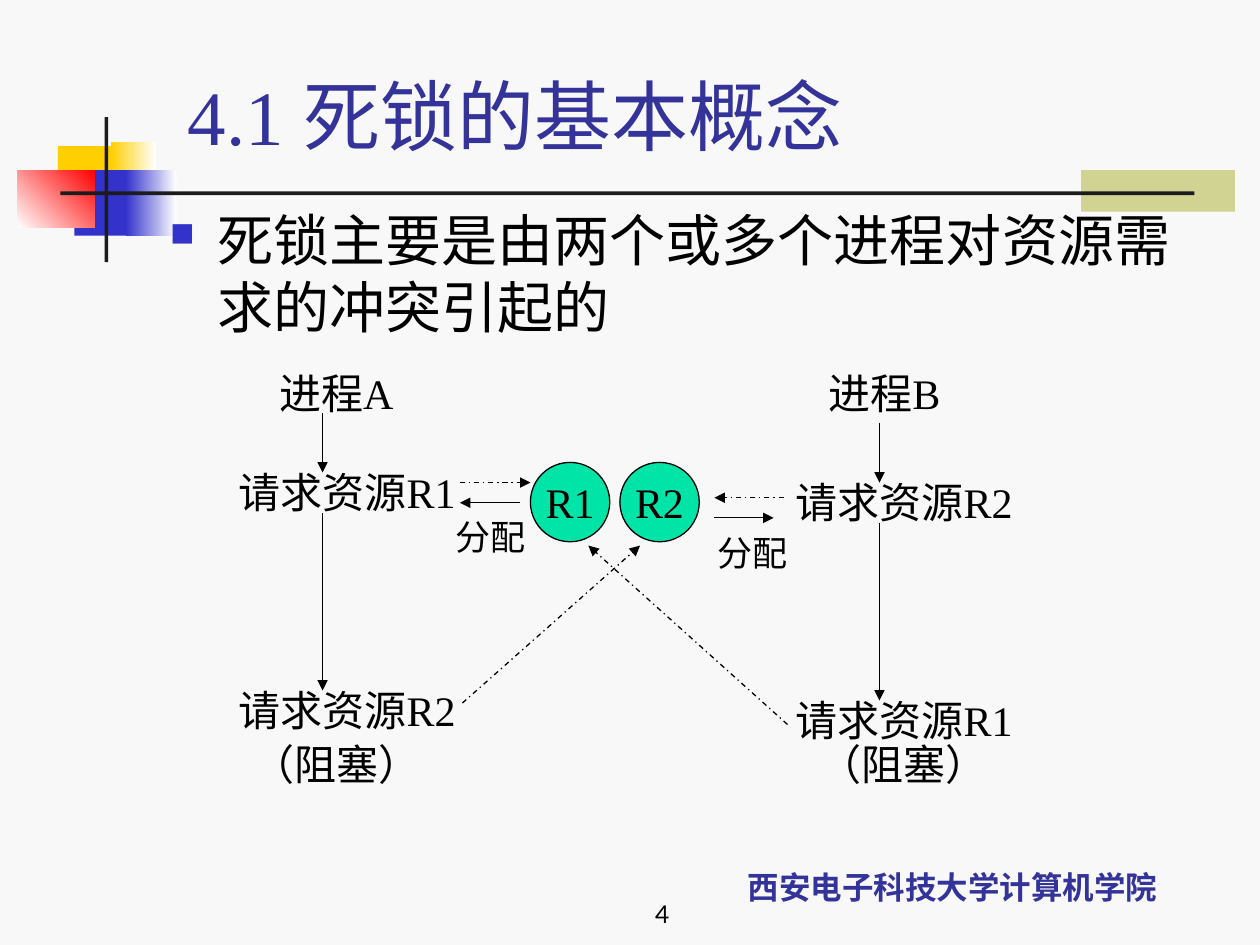
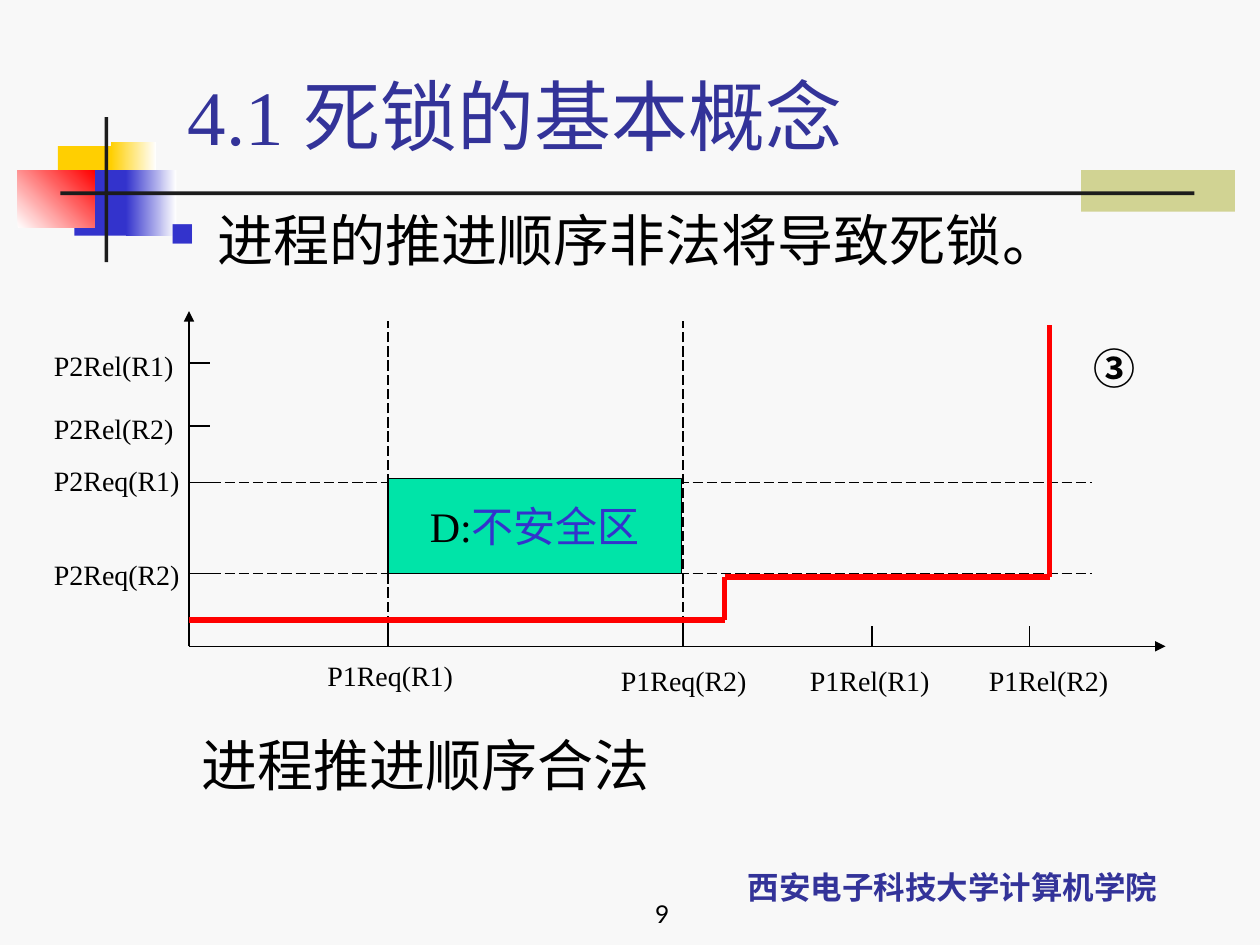
"""Build two lecture slides on the basic concept of deadlock."""
from dataclasses import dataclass

from lxml import etree
from pptx import Presentation
from pptx.dml.color import RGBColor
from pptx.enum.dml import MSO_LINE
from pptx.enum.shapes import MSO_CONNECTOR, MSO_SHAPE
from pptx.enum.text import MSO_ANCHOR, PP_ALIGN
from pptx.oxml.ns import qn
from pptx.util import Inches, Pt

RECTANGLE, OVAL = MSO_SHAPE.RECTANGLE, MSO_SHAPE.OVAL
STRAIGHT = MSO_CONNECTOR.STRAIGHT
DASH_DOT, LONG_DASH = MSO_LINE.DASH_DOT, MSO_LINE.LONG_DASH
TOP, MIDDLE, BOTTOM = MSO_ANCHOR.TOP, MSO_ANCHOR.MIDDLE, MSO_ANCHOR.BOTTOM
LEFT, CENTER, RIGHT = PP_ALIGN.LEFT, PP_ALIGN.CENTER, PP_ALIGN.RIGHT

SERIF, SANS, CHINESE = "Times New Roman", "Lato", "Noto Sans CJK SC"
BLACK, INK, WHITE, PAPER = "000000", "1C1C1C", "FFFFFF", "F8F8F8"
NAVY, BLUE, RED = "333399", "3333CC", "FF0000"
YELLOW, OLIVE, GREEN = "FFCF01", "D1D393", "00E4A8"

TITLE = "4.1 死锁的基本概念"
SCHOOL = "西安电子科技大学计算机学院"

Box = tuple[float, float, float, float]
Point = tuple[float, float]


@dataclass(frozen=True)
class TextStyle:
    """Describe how a block of text looks."""
    size: float = 24
    color: str = BLACK
    font: str = SERIF
    bold: bool = False
    align: PP_ALIGN = LEFT
    anchor: MSO_ANCHOR = TOP
    wrap: bool = True


@dataclass(frozen=True)
class Decoration:
    """Describe a borderless rectangle, plain or with a gradient."""
    box: Box
    color: str
    end_color: str = ""
    angle: float = 0


@dataclass(frozen=True)
class Process:
    """Describe one process column of the resource diagram."""
    name: str
    name_left: float
    request_left: float
    drop: float
    requests: tuple[str, str]
    blocked_left: float


TITLE_STYLE = TextStyle(44, NAVY, anchor=BOTTOM)
BODY_STYLE = TextStyle(32)
SCHOOL_STYLE = TextStyle(18, NAVY, CHINESE, True, CENTER, BOTTOM)
NUMBER_STYLE = TextStyle(14, font=SANS, align=RIGHT, anchor=BOTTOM)
NODE_STYLE = TextStyle(align=CENTER, anchor=MIDDLE, wrap=False)
GRANT_STYLE = TextStyle(20, align=CENTER, anchor=MIDDLE, wrap=False)
AXIS_STYLE = TextStyle(16)
MARK_STYLE = TextStyle(font=CHINESE, bold=True)

DECORATIONS = (
    Decoration((8.58, 1.35, 1.22, 0.33), OLIVE),
    Decoration((0.46, 1.16, 0.48, 0.52), YELLOW),
    Decoration((0.88, 1.13, 0.36, 0.52), YELLOW, WHITE),
    Decoration((0.59, 1.35, 0.46, 0.52), BLUE),
    Decoration((1, 1.35, 0.4, 0.52), BLUE, WHITE),
    Decoration((0.14, 1.35, 0.61, 0.46), WHITE, RED, 45),
    Decoration((0.83, 0.93, 0.03, 1.15), INK),
    Decoration((0.48, 1.52, 9, 0.03), INK),
)

PROCESSES = (
    Process("进程A", 1.92, 1.73, 0, ("请求资源R1", "请求资源R2"), 1.82),
    Process("进程B", 6.27, 6.15, 0.08, ("请求资源R2", "请求资源R1"), 6.32),
)


def rgb(color: str) -> RGBColor:
    """Turn a hex string into a colour."""
    return RGBColor.from_string(color)


def place(box: Box) -> list[Inches]:
    """Turn left, top, width and height into lengths."""
    return [Inches(value) for value in box]


def add_run(paragraph, text: str, style: TextStyle) -> None:
    """Add one run in the given style."""
    run = paragraph.add_run()
    run.text = text
    font = run.font
    font.name, font.size, font.bold = style.font, Pt(style.size), style.bold
    font.color.rgb = rgb(style.color)
    properties = run._r.get_or_add_rPr()
    properties.set("lang", "zh-CN")
    east_asian = etree.Element(qn("a:ea"), typeface=SANS)
    properties.find(qn("a:latin")).addnext(east_asian)


def write(shape, style: TextStyle, *runs: tuple[str, str]) -> None:
    """Write runs of text and colour into a shape."""
    frame = shape.text_frame
    frame.word_wrap = style.wrap
    frame.vertical_anchor = style.anchor
    paragraph = frame.paragraphs[0]
    paragraph.alignment = style.align
    for text, color in runs:
        run_style = TextStyle(style.size, color, style.font, style.bold)
        add_run(paragraph, text, run_style)


def add_text(slide, box: Box, text: str, style: TextStyle) -> None:
    """Add a text box."""
    shape = slide.shapes.add_textbox(*place(box))
    write(shape, style, (text, style.color))


def add_filled_shape(slide, kind: MSO_SHAPE, box: Box, *runs: tuple[str, str]) -> None:
    """Add a green outlined shape with centred text."""
    shape = slide.shapes.add_shape(kind, *place(box))
    shape.shadow.inherit = False
    shape.fill.solid()
    shape.fill.fore_color.rgb = rgb(GREEN)
    shape.line.color.rgb = rgb(BLACK)
    shape.line.width = Pt(0.75)
    write(shape, NODE_STYLE, *runs)


def add_line(slide, start: Point, end: Point, arrow: bool = False,
             dash: MSO_LINE | None = None, color: str = BLACK, width: float = 0.75) -> None:
    """Add a straight line, with an arrowhead at its end if asked."""
    connector = slide.shapes.add_connector(STRAIGHT, *place((*start, *end)))
    line = connector.line
    line.color.rgb = rgb(color)
    line.width = Pt(width)
    if dash is not None:
        line.dash_style = dash
    properties = connector._element.spPr
    if arrow:
        outline = properties.find(qn("a:ln"))
        etree.SubElement(outline, qn("a:tailEnd"), type="triangle")
    etree.SubElement(properties, qn("a:effectLst"))


def add_decoration(slide, decoration: Decoration) -> None:
    """Add one rectangle of the title ornament."""
    shape = slide.shapes.add_shape(RECTANGLE, *place(decoration.box))
    shape.shadow.inherit = False
    shape.line.fill.background()
    fill = shape.fill
    if not decoration.end_color:
        fill.solid()
        fill.fore_color.rgb = rgb(decoration.color)
        return
    fill.gradient()
    fill.gradient_angle = decoration.angle
    for stop, color in zip(fill.gradient_stops, (decoration.color, decoration.end_color)):
        stop.color.rgb = rgb(color)


def add_bullet(slide, text: str, height: float) -> None:
    """Add the main statement with its square bullet."""
    shape = slide.shapes.add_textbox(*place((1.25, 1.58, 8.5, height)))
    paragraph = shape.text_frame.paragraphs[0]
    properties = paragraph._p.get_or_add_pPr()
    properties.set("marL", str(Inches(0.38)))
    properties.set("indent", str(Inches(-0.38)))
    bullet_color = etree.SubElement(properties, qn("a:buClr"))
    etree.SubElement(bullet_color, qn("a:srgbClr"), val=BLUE)
    etree.SubElement(properties, qn("a:buSzPct"), val="60000")
    etree.SubElement(properties, qn("a:buChar"), char="■")
    write(shape, BODY_STYLE, (text, BLACK))


def add_base_slide(presentation, number: int, statement: str, height: float):
    """Add a slide with ornament, title, statement and footer."""
    slide = presentation.slides.add_slide(presentation.slide_layouts[6])
    slide.background.fill.solid()
    slide.background.fill.fore_color.rgb = rgb(PAPER)
    for decoration in DECORATIONS:
        add_decoration(slide, decoration)
    add_text(slide, (5.31, 6.66, 4.5, 0.58), SCHOOL, SCHOOL_STYLE)
    add_text(slide, (1.39, 0.5, 8.52, 0.83), TITLE, TITLE_STYLE)
    add_bullet(slide, statement, height)
    add_text(slide, (3.33, 6.92, 2.08, 0.5), str(number), NUMBER_STYLE)
    return slide


def add_process(slide, process: Process) -> None:
    """Add one process with its two requests and the blocked state."""
    add_text(slide, (process.name_left, 2.88, 1.5, 0.47), process.name, NODE_STYLE)
    axis = process.request_left + 0.83
    for text, top in zip(process.requests, (3.67, 5.4)):
        box = (process.request_left, top + process.drop, 2.05, 0.47)
        add_text(slide, box, text, NODE_STYLE)
    for start, end in ((3.28, 3.75), (4.07, 5.48)):
        add_line(slide, (axis, start + process.drop), (axis, end + process.drop), True)
    add_text(slide, (process.blocked_left, 5.83, 1.7, 0.47), "（阻塞）", NODE_STYLE)


def build_resource_slide(presentation) -> None:
    """Build the slide on two processes competing for two resources."""
    statement = "死锁主要是由两个或多个进程对资源需求的冲突引起的"
    slide = add_base_slide(presentation, 4, statement, 1.25)
    for process in PROCESSES:
        add_process(slide, process)
    for resource, left in (("R1", 4.21), ("R2", 4.92)):
        add_filled_shape(slide, OVAL, (left, 3.67, 0.63, 0.63), (resource, BLACK))
    for left, top in ((3.42, 4.06), (5.5, 4.19)):
        add_text(slide, (left, top, 0.95, 0.39), "分配", GRANT_STYLE)
    grants = (((4.13, 3.99), (3.65, 3.99)), ((5.67, 4.11), (6.14, 4.11)))
    for start, end in grants:
        add_line(slide, start, end, True)
    requests = (
        ((3.65, 3.83), (4.21, 3.83)),
        ((6.22, 3.95), (5.67, 3.95)),
        ((3.67, 5.58), (5.08, 4.33)),
        ((6.25, 5.75), (4.67, 4.33)),
    )
    for start, end in requests:
        add_line(slide, start, end, True, DASH_DOT)


def build_progress_slide(presentation) -> None:
    """Build the slide with the joint progress diagram."""
    slide = add_base_slide(presentation, 9, "进程的推进顺序非法将导致死锁。", 0.67)
    origin = (1.5, 5.13)
    for end in ((9.25, 5.13), (1.5, 2.47)):
        add_line(slide, origin, end, True)
    for tick in (3.08, 5.42, 6.92, 8.17):
        add_line(slide, (tick, 4.97), (tick, 5.13))
    for tick in (2.88, 3.38, 3.83, 4.55):
        add_line(slide, (1.5, tick), (1.67, tick))
    axis_labels = (
        ("P2Rel(R1)", 0.33, 2.72), ("P2Rel(R2)", 0.33, 3.22),
        ("P2Req(R1)", 0.33, 3.63), ("P2Req(R2)", 0.33, 4.38),
        ("P1Req(R1)", 2.5, 5.18), ("P1Req(R2)", 4.83, 5.22),
        ("P1Rel(R1)", 6.33, 5.22), ("P1Rel(R2)", 7.75, 5.22),
    )
    for text, left, top in axis_labels:
        add_text(slide, (left, top, 1.33, 0.37), text, AXIS_STYLE)
    for height in (4.55, 3.83):
        add_line(slide, (1.67, height), (8.67, height), dash=LONG_DASH)
    for across in (3.08, 5.42):
        add_line(slide, (across, 4.97), (across, 2.55), dash=LONG_DASH)
    unsafe_zone = (3.08, 3.8, 2.33, 0.75)
    add_filled_shape(slide, RECTANGLE, unsafe_zone, ("D:", BLACK), ("不安全区", BLUE))
    route = ((1.5, 4.92), (5.75, 4.92), (5.75, 4.58), (8.33, 4.58), (8.33, 2.58))
    for start, end in zip(route, route[1:]):
        add_line(slide, start, end, color=RED, width=3)
    add_text(slide, (8.58, 2.67, 0.67, 0.82), "③", MARK_STYLE)
    add_text(slide, (1.5, 5.75, 6.33, 0.64), "进程推进顺序合法", BODY_STYLE)


def main() -> None:
    """Create and save the presentation."""
    presentation = Presentation()
    presentation.slide_width, presentation.slide_height = Inches(10), Inches(7.5)
    build_resource_slide(presentation)
    build_progress_slide(presentation)
    presentation.save("out.pptx")


if __name__ == "__main__":
    main()
